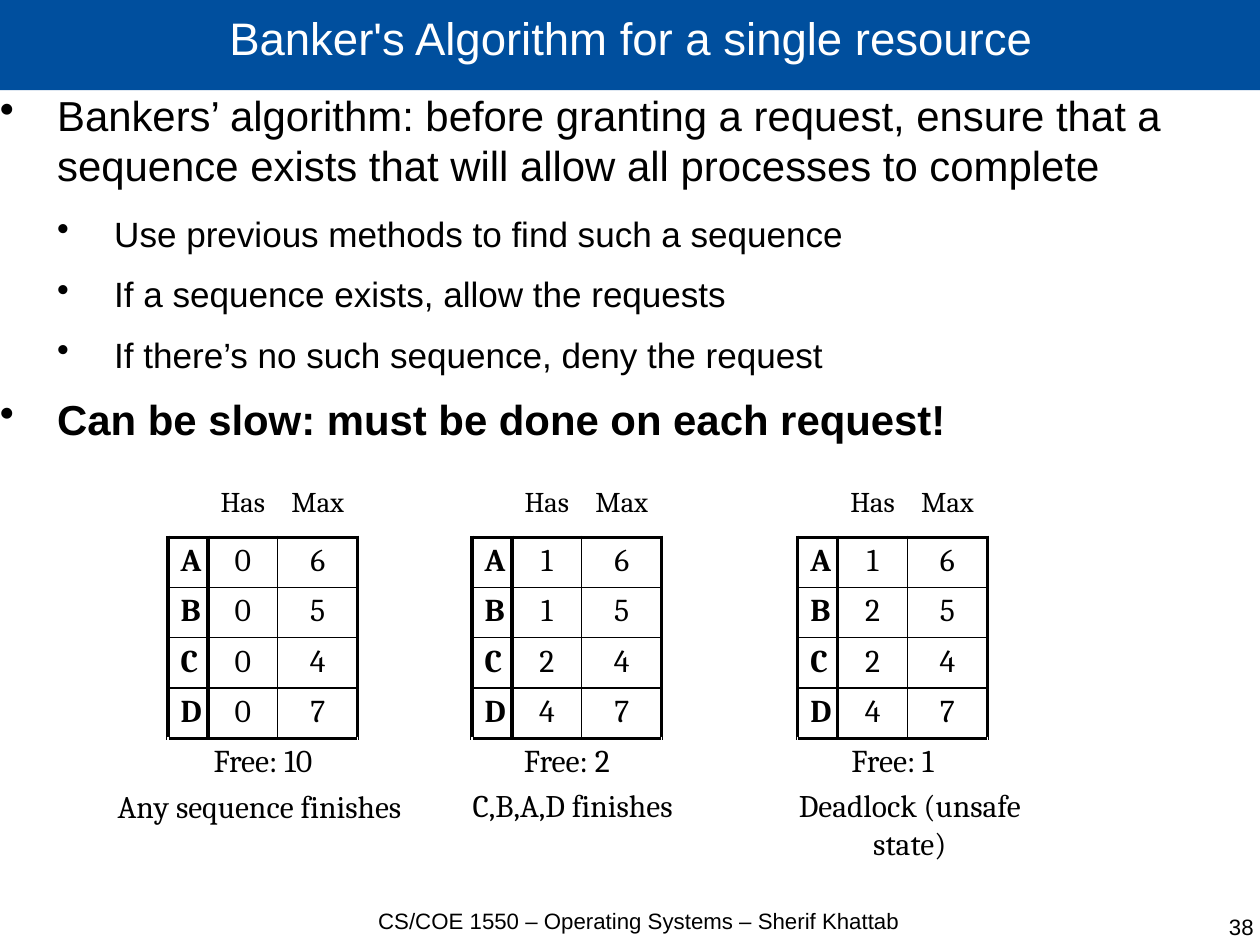
import pptx
import pptx.util
import pptx.dml.color
import pptx.enum.text
import pptx.oxml.ns
import lxml.etree

Inches = pptx.util.Inches
Pt = pptx.util.Pt
RGBColor = pptx.dml.color.RGBColor
PP_ALIGN = pptx.enum.text.PP_ALIGN
qn = pptx.oxml.ns.qn

BLUE = RGBColor(0x00, 0x4F, 0x9E)
WHITE = RGBColor(0xFF, 0xFF, 0xFF)
BLACK = RGBColor(0x00, 0x00, 0x00)


def add_text(paragraph, text, size, font="Arial", color=BLACK, bold=False, align=PP_ALIGN.CENTER):
    paragraph.alignment = align
    run = paragraph.add_run()
    run.text = text
    run.font.name = font
    run.font.size = Pt(size)
    run.font.bold = bold
    run.font.color.rgb = color


def add_frame(left, top, width, height, inset=0.0, wrap=True):
    frame = slide.shapes.add_textbox(Inches(left), Inches(top), Inches(width), Inches(height)).text_frame
    frame.word_wrap = wrap
    frame.margin_left = frame.margin_right = Inches(inset)
    frame.margin_top = frame.margin_bottom = Inches(0.05 if inset else 0)
    return frame


# Standard 28 by 21 cm screen page, which has no round size in inches
presentation = pptx.Presentation()
presentation.slide_width = pptx.util.Emu(10080625)
presentation.slide_height = pptx.util.Emu(7559675)
slide = presentation.slides.add_slide(presentation.slide_layouts[5])

# Title bar
title = slide.shapes.title
title.left, title.top, title.width, title.height = Inches(0), Inches(-0.02), Inches(11.04), Inches(0.81)
title.fill.solid()
title.fill.fore_color.rgb = BLUE
frame = title.text_frame
frame.auto_size = pptx.enum.text.MSO_AUTO_SIZE.NONE
frame.vertical_anchor = pptx.enum.text.MSO_ANCHOR.MIDDLE
frame.margin_left = frame.margin_right = frame.margin_top = frame.margin_bottom = 0
frame.paragraphs[0].line_spacing = 0.69
add_text(frame.paragraphs[0], "Banker's Algorithm for a single resource", 28.7, color=WHITE)

# Bulleted points: level, bold, text
points = [
    (0, False, "Bankers’ algorithm: before granting a request, ensure that a sequence exists "
               "that will allow all processes to complete"),
    (1, False, "Use previous methods to find such a sequence"),
    (1, False, "If a sequence exists, allow the requests"),
    (1, False, "If there’s no such sequence, deny the request"),
    (0, True, "Can be slow: must be done on each request!"),
]
frame = add_frame(0, 0.78, 11.04, 7.18)
for index, (level, bold, text) in enumerate(points):
    paragraph = frame.add_paragraph() if index else frame.paragraphs[0]
    paragraph.level = level
    paragraph.space_after = Pt(11.4 if level else 14.2)
    add_text(paragraph, text, 22.1 if level else 26.46, bold=bold, align=PP_ALIGN.LEFT)
    properties = paragraph._p.get_or_add_pPr()
    properties.set("marL", str(Inches(0.5 * (level + 1))))
    properties.set("indent", str(Inches(-0.5)))
    bullet_color = lxml.etree.SubElement(properties, qn("a:buClr"))
    lxml.etree.SubElement(bullet_color, qn("a:srgbClr"), val=str(BLACK))
    lxml.etree.SubElement(properties, qn("a:buChar"), char="•")

# Footer and slide number
add_text(add_frame(3.07, 7.94, 5.04, 0.55).paragraphs[0],
         "CS/COE 1550 – Operating Systems – Sherif Khattab", 14)
add_text(add_frame(8.44, 7.99, 2.53, 0.55).paragraphs[0], "38", 14, align=PP_ALIGN.RIGHT)

# Resource tables: left edge, units held by A to D, free units
processes = "ABCD"
maximums = [6, 5, 4, 7]
column_widths = [0.35, 0.61, 0.7]
states = [(1.47, [0, 0, 0, 0], 10), (4.13, [1, 1, 2, 4], 2), (6.98, [1, 2, 2, 4], 1)]
for left, held, free in states:
    rows = [["", "Has", "Max"], *zip(processes, held, maximums), [f"Free: {free}", "", ""]]
    table = slide.shapes.add_table(6, 3, Inches(left), Inches(4.26), Inches(1.66), Inches(2.64)).table
    table.first_row = table.horz_banding = False
    for column, width in zip(table.columns, column_widths):
        column.width = Inches(width)
    table.cell(5, 0).merge(table.cell(5, 2))
    for row_index, row in enumerate(rows):
        table.rows[row_index].height = Inches(0.44)
        for column_index, value in enumerate(row):
            cell = table.cell(row_index, column_index)
            cell.fill.background()
            cell.margin_left = cell.margin_right = Inches(0.11 if row_index else 0)
            cell.margin_top = cell.margin_bottom = Inches(0.05 if row_index else 0)
            if value != "":
                add_text(cell.text_frame.paragraphs[0], str(value), 20 if row_index else 18, "Cambria",
                         bold=column_index == 0 and row_index < 5)
            # Heavy frame and name column, thin inner grid
            heavy_sides = {}
            if row_index == 5:
                heavy_sides = {"lnT": True}
            elif row_index:
                heavy_sides = {"lnL": column_index < 2, "lnR": column_index != 1,
                               "lnT": row_index == 1, "lnB": row_index == 4}
            cell_properties = cell._tc.get_or_add_tcPr()
            for position, (side, heavy) in enumerate(heavy_sides.items()):
                border = lxml.etree.Element(qn(f"a:{side}"), w=str(Pt(2.25 if heavy else 1)))
                border_fill = lxml.etree.SubElement(border, qn("a:solidFill"))
                lxml.etree.SubElement(border_fill, qn("a:srgbClr"), val=str(BLACK))
                cell_properties.insert(position, border)

# Outcome under each table: left, top, width, side inset, wrap, text
outcomes = [
    (0.92, 6.84, 2.7, 0.1, False, "Any sequence finishes"),
    (3.95, 6.83, 2.12, 0.1, False, "C,B,A,D finishes"),
    (6.55, 6.83, 2.82, 0.25, True, "Deadlock (unsafe state)"),
]
for left, top, width, inset, wrap, text in outcomes:
    frame = add_frame(left, top, width, 0.43, inset, wrap)
    add_text(frame.paragraphs[0], text, 19.8, "Cambria")

presentation.save("out.pptx")
